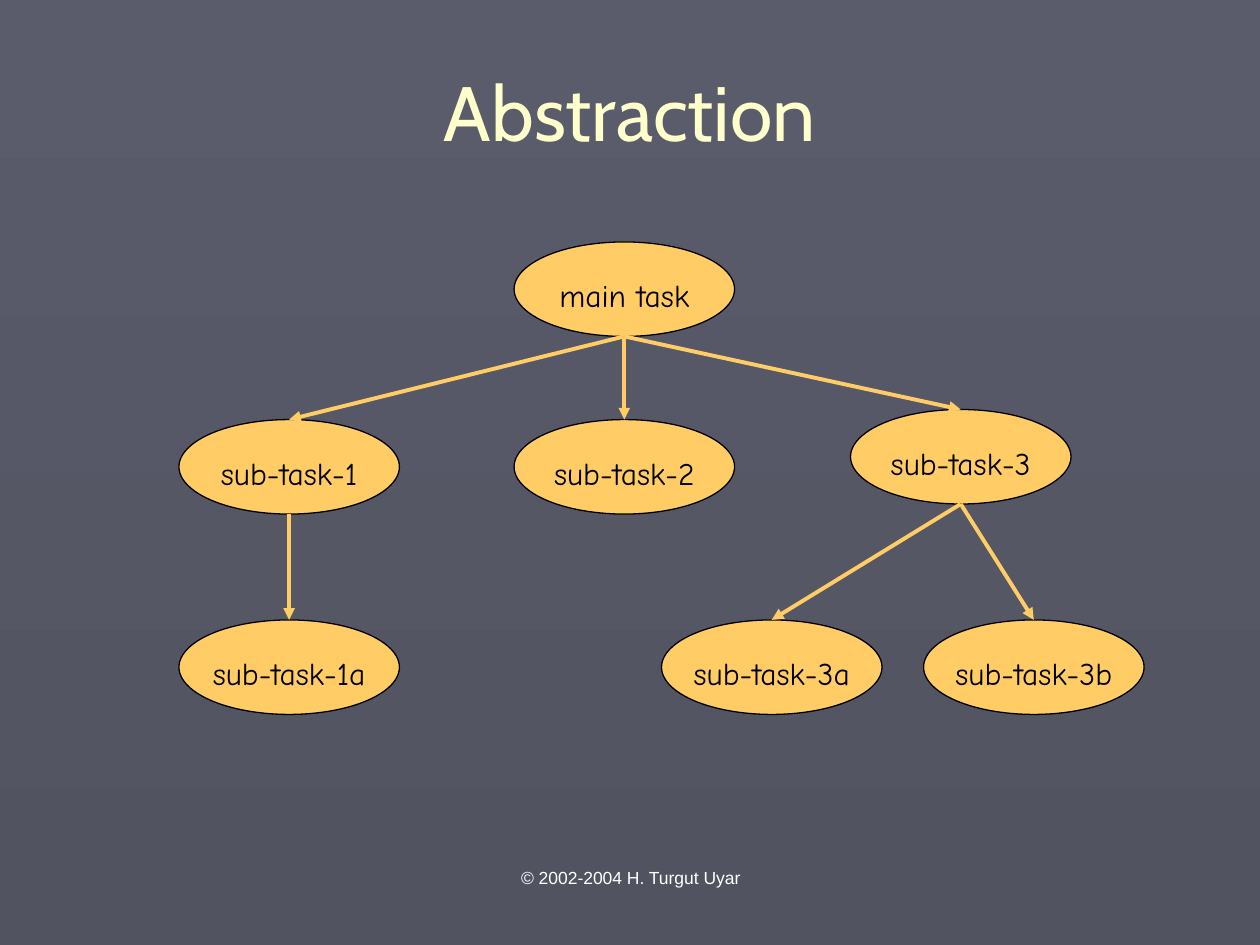
from dataclasses import dataclass

from lxml.etree import SubElement
from pptx import Presentation
from pptx.dml.color import RGBColor
from pptx.enum.shapes import MSO_CONNECTOR as Connector, MSO_SHAPE as Shape
from pptx.enum.text import MSO_ANCHOR as Anchor, PP_ALIGN as Align
from pptx.oxml.ns import qn
from pptx.util import Inches, Pt

# Content
TITLE = "Abstraction"
FOOTER = "© 2002-2004 H. Turgut Uyar"
# task: (left, top, parent task)
TASKS = {
    "main task": (4.08, 1.92, None),
    "sub-task-1": (1.42, 3.33, "main task"),
    "sub-task-2": (4.08, 3.33, "main task"),
    "sub-task-3": (6.75, 3.25, "main task"),
    "sub-task-1a": (1.42, 4.92, "sub-task-1"),
    "sub-task-3a": (5.25, 4.92, "sub-task-3"),
    "sub-task-3b": (7.33, 4.92, "sub-task-3"),
}
NODE_WIDTH, NODE_HEIGHT = 1.75, 0.75


@dataclass(frozen=True)
class Theme:
    background_top: str = "5A5C6C"
    background_bottom: str = "515361"
    title: str = "FFFFCC"
    node: str = "FFCC66"
    ink: str = "000000"
    footer: str = "FFFFFF"
    title_font: str = "Cabin"
    node_font: str = "Comic Neue"
    footer_font: str = "Arial"
    title_size: int = 44
    node_size: int = 18
    footer_size: int = 10
    outline: float = 0.75
    arrow: float = 2.25


THEME = Theme()


def color(value):
    return RGBColor.from_string(value)


def write(shape, text, font_name, size, font_color, anchor, wrap=True):
    frame = shape.text_frame
    frame.text = text
    frame.word_wrap = wrap
    frame.vertical_anchor = anchor
    paragraph = frame.paragraphs[0]
    paragraph.alignment = Align.CENTER
    font = paragraph.runs[0].font
    font.name, font.size = font_name, Pt(size)
    font.color.rgb = color(font_color)
    return frame


def add_label(slide, box, *style):
    shape = slide.shapes.add_textbox(*map(Inches, box))
    write(shape, *style)


def add_node(slide, text, left, top):
    shape = slide.shapes.add_shape(
        Shape.OVAL, *map(Inches, (left, top, NODE_WIDTH, NODE_HEIGHT)))
    shape.shadow.inherit = False
    shape.fill.solid()
    shape.fill.fore_color.rgb = color(THEME.node)
    shape.line.color.rgb = color(THEME.ink)
    shape.line.width = Pt(THEME.outline)
    frame = write(shape, text, THEME.node_font, THEME.node_size, THEME.ink,
                  Anchor.MIDDLE, False)
    frame.margin_top = Inches(0.11)  # sets the label slightly low
    frame.paragraphs[0].line_spacing = 1.1


def add_arrow(slide, parent, child):
    """Run from the bottom of the parent to the top of the child."""
    middle = NODE_WIDTH / 2
    points = (parent[0] + middle, parent[1] + NODE_HEIGHT,
              child[0] + middle, child[1])
    arrow = slide.shapes.add_connector(
        Connector.STRAIGHT, *map(Inches, points))
    arrow.line.color.rgb = color(THEME.node)
    arrow.line.width = Pt(THEME.arrow)
    SubElement(arrow.line._get_or_add_ln(), qn("a:tailEnd"), type="triangle")
    SubElement(arrow._element.spPr, qn("a:effectLst"))


def main():
    presentation = Presentation()
    presentation.slide_width = Inches(10)
    presentation.slide_height = Inches(7.5)
    slide = presentation.slides.add_slide(presentation.slide_layouts[6])

    # Background, from top to bottom
    fill = slide.background.fill
    fill.gradient()
    fill.gradient_angle = 270
    shades = (THEME.background_top, THEME.background_bottom)
    for stop, shade in zip(fill.gradient_stops, shades):
        stop.color.rgb = color(shade)

    # Title
    add_label(slide, (0.33, 0.25, 9.34, 1.25), TITLE, THEME.title_font,
              THEME.title_size, THEME.title, Anchor.MIDDLE)

    # Task tree
    for text, (left, top, _) in TASKS.items():
        add_node(slide, text, left, top)
    for left, top, parent in TASKS.values():
        if parent:
            add_arrow(slide, TASKS[parent], (left, top))

    # Footer
    add_label(slide, (3.42, 6.83, 3.17, 0.52), FOOTER, THEME.footer_font,
              THEME.footer_size, THEME.footer, Anchor.TOP)

    presentation.save("out.pptx")


if __name__ == "__main__":
    main()
